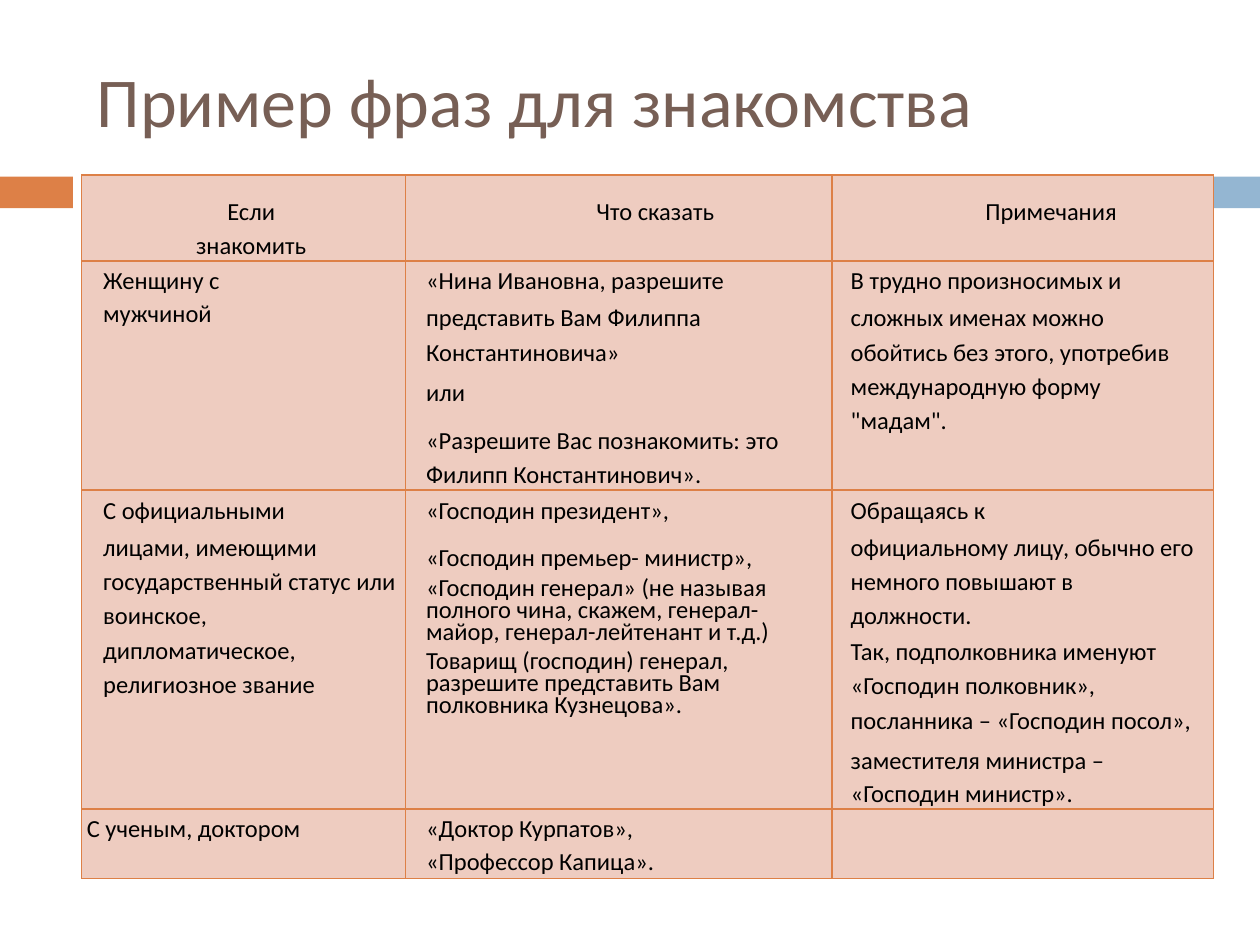
from lxml.etree import SubElement
from pptx import Presentation
from pptx.dml.color import RGBColor
from pptx.enum.shapes import MSO_SHAPE
from pptx.enum.text import MSO_ANCHOR, PP_ALIGN
from pptx.oxml.ns import qn
from pptx.util import Cm, Pt

ORANGE = RGBColor(0xDD, 0x80, 0x47)
BLUE = RGBColor(0x94, 0xB6, 0xD2)
BROWN = RGBColor(0x77, 0x5F, 0x55)
PEACH = RGBColor(0xEE, 0xCC, 0xC0)
BLACK = RGBColor(0, 0, 0)
FONT = "Calibri"

COLUMN_WIDTHS = (6.53, 8.59, 7.7)
ROW_HEIGHTS = (1.73, 4.62, 6.43, 1.4)
FIRST_LINES = (14.8, 10.1, 10.2, 10.1)
HEADER_INDENTS = ((0.99, 0.69), (1.47, 0), (1.14, 0))
BODY_INDENTS = ((0.43, 0.13), (0.41, 0.36), (0.38, 0.36))
LAST_ROW_INDENT = (0.1, 0.13)

# Each later paragraph: text, line spacing, space before in points
PHRASES = (
    (
        ("Если", ("знакомить", 1.0, 2.5)),
        ("Что сказать",),
        ("Примечания",),
    ),
    (
        ("Женщину с", ("мужчиной", 1.0, 1.6)),
        (
            "«Нина Ивановна, разрешите",
            ("представить Вам Филиппа Константиновича»", 1.15, 1.6),
            ("или", 1.0, 6),
            ("«Разрешите Вас познакомить: это Филипп Константинович».", 1.15, 7.7),
        ),
        (
            "В трудно произносимых и",
            ("сложных именах можно обойтись без этого, употребив "
             "международную форму \"мадам\".", 1.15, 1.6),
        ),
    ),
    (
        (
            "С официальными",
            ("лицами, имеющими государственный статус или воинское, "
             "дипломатическое, религиозное звание", 1.15, 1.6),
        ),
        (
            "«Господин президент»,",
            ("«Господин премьер- министр»,", 1.13, 7.7),
            ("«Господин генерал» (не называя полного чина, скажем, "
             "генерал-майор, генерал-лейтенант и т.д.)", Pt(12.5), 4.6),
            ("Товарищ (господин) генерал, разрешите представить Вам "
             "полковника Кузнецова».", Pt(12.5), 4.6),
        ),
        (
            "Обращаясь к",
            ("официальному лицу, обычно его немного повышают в должности.", 1.15, 1.6),
            ("Так, подполковника именуют «Господин полковник», "
             "посланника – «Господин посол»,", 1.15, 0.8),
            ("заместителя министра –", 1.0, 6),
            ("«Господин министр».", 1.0, 1.7),
        ),
    ),
    (
        ("С ученым, доктором",),
        ("«Доктор Курпатов»,", ("«Профессор Капица».", 1.0, 1.6)),
        (),
    ),
)


def style_text(paragraph, size, color):
    """Format every run of a paragraph."""
    for run in paragraph.runs:
        run.font.name = FONT
        run.font.size = Pt(size)
        run.font.color.rgb = color


def add_band(slide, left, width, color):
    """Add one piece of the horizontal band."""
    band = slide.shapes.add_shape(
        MSO_SHAPE.RECTANGLE, Cm(left), Cm(3.56), Cm(width), Cm(0.64))
    band.shadow.inherit = False
    band.fill.solid()
    band.fill.fore_color.rgb = color
    band.line.fill.background()


def add_title(slide, text):
    """Add the slide heading."""
    title = slide.shapes.add_textbox(Cm(1.7), Cm(0.64), Cm(22.66), Cm(2.74))
    title.text_frame.word_wrap = True
    title.text_frame.vertical_anchor = MSO_ANCHOR.MIDDLE
    title.text_frame.text = text
    style_text(title.text_frame.paragraphs[0], 40, BROWN)


def add_borders(cell):
    """Draw the four cell borders beneath the fill in the schema order."""
    properties = cell._tc.get_or_add_tcPr()
    for position, side in enumerate(("lnL", "lnR", "lnT", "lnB")):
        border = SubElement(properties, qn(f"a:{side}"), w=str(Pt(0.79)))
        fill = SubElement(border, qn("a:solidFill"))
        SubElement(fill, qn("a:srgbClr"), val=str(ORANGE))
        properties.insert(position, border)


def fill_cell(cell, phrases, first_line, indents, alignment):
    """Write the phrases of one cell, starting one line below its top."""
    cell.margin_left, cell.margin_right = map(Cm, indents)
    cell.margin_top, cell.margin_bottom = Pt(first_line), 0
    cell.fill.solid()
    cell.fill.fore_color.rgb = PEACH
    add_borders(cell)
    if not phrases:
        return
    opening, *others = phrases
    lines = [(opening, Pt(first_line), 0), *others]
    cell.text_frame.text = "\n".join(line[0] for line in lines)
    for paragraph, (_, spacing, before) in zip(cell.text_frame.paragraphs, lines):
        paragraph.alignment = alignment
        paragraph.line_spacing = spacing
        paragraph.space_before = Pt(before)
        style_text(paragraph, 14, BLACK)


def indents_for(row, column):
    """Return the left and right indents of a cell."""
    if row == 0:
        return HEADER_INDENTS[column]
    if row == len(PHRASES) - 1 and column == 0:
        return LAST_ROW_INDENT
    return BODY_INDENTS[column]


def add_phrase_table(slide):
    """Add the table of introduction phrases."""
    phrase_table = slide.shapes.add_table(
        len(ROW_HEIGHTS), len(COLUMN_WIDTHS), Cm(1.65), Cm(3.53),
        Cm(sum(COLUMN_WIDTHS)), Cm(sum(ROW_HEIGHTS))).table
    phrase_table.first_row = False
    phrase_table.horz_banding = False
    for column, width in zip(phrase_table.columns, COLUMN_WIDTHS):
        column.width = Cm(width)
    for row, height in enumerate(ROW_HEIGHTS):
        phrase_table.rows[row].height = Cm(height)
        alignment = PP_ALIGN.LEFT if row else PP_ALIGN.CENTER
        for column, phrases in enumerate(PHRASES[row]):
            fill_cell(phrase_table.cell(row, column), phrases, FIRST_LINES[row],
                      indents_for(row, column), alignment)


def main():
    """Build the slide and save it."""
    presentation = Presentation()
    presentation.slide_width, presentation.slide_height = Cm(25.4), Cm(19.05)
    slide = presentation.slides.add_slide(presentation.slide_layouts[6])
    add_band(slide, 0, 1.47, ORANGE)
    add_band(slide, 1.65, 23.75, BLUE)
    add_title(slide, "Пример фраз для знакомства")
    add_phrase_table(slide)
    presentation.save("out.pptx")


main()
